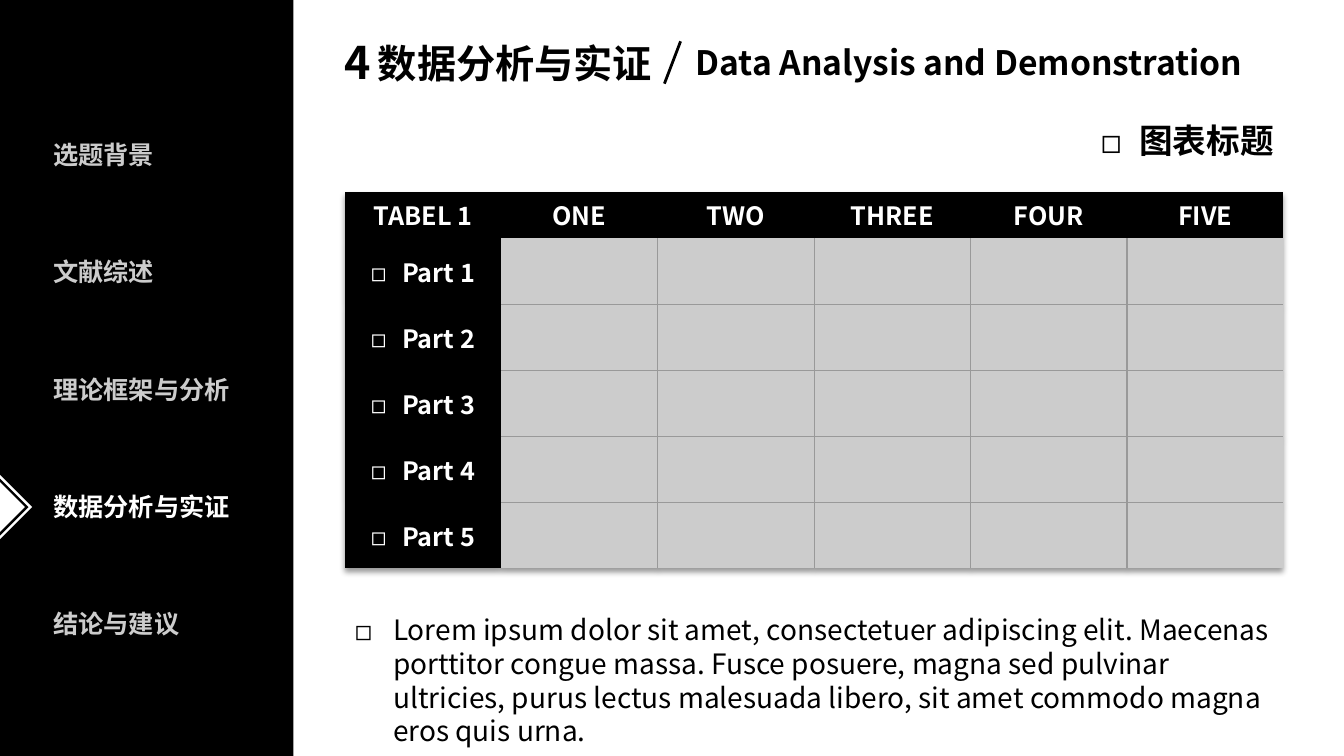
from lxml.etree import SubElement, fromstring
from pptx import Presentation
from pptx.dml.color import RGBColor
from pptx.enum.shapes import MSO_CONNECTOR, MSO_SHAPE
from pptx.enum.text import MSO_ANCHOR, PP_ALIGN
from pptx.oxml.ns import qn
from pptx.util import Inches, Pt

BLACK = RGBColor(0x00, 0x00, 0x00)
WHITE = RGBColor(0xFF, 0xFF, 0xFF)
PALE = RGBColor(0xCC, 0xCC, 0xCC)
GREY = RGBColor(0x99, 0x99, 0x99)
FONT = "Noto Sans CJK SC"
TOPICS = ["选题背景", "文献综述", "理论框架与分析", "数据分析与实证", "结论与建议"]
ACTIVE = 3
HEADS = ["TABEL 1", "ONE", "TWO", "THREE", "FOUR", "FIVE"]
PARTS = 5
BODY = (
    "Lorem ipsum dolor sit amet, consectetuer adipiscing elit. Maecenas "
    "porttitor congue massa. Fusce posuere, magna sed pulvinar ultricies, "
    "purus lectus malesuada libero, sit amet commodo magna eros quis urna."
)
SHADOW = (
    '<a:effectLst xmlns:a="http://schemas.openxmlformats.org/drawingml/2006/main">'
    '<a:outerShdw blurRad="50800" dist="38100" dir="5400000" algn="t" rotWithShape="0">'
    '<a:prstClr val="black"><a:alpha val="40000"/></a:prstClr>'
    "</a:outerShdw></a:effectLst>"
)


def write(para, text, size, color, bold=True, align=None, indent=None):
    para.text = text
    para.alignment = align
    props = para._p.get_or_add_pPr()
    if indent:
        props.set("marL", str(Inches(indent)))
        props.set("indent", str(-Inches(indent)))
        SubElement(props, qn("a:buFont"), typeface=FONT)
        SubElement(props, qn("a:buChar"), char="◻")
    font = para.font
    font.name = FONT
    font.size = Pt(size)
    font.bold = bold
    font.color.rgb = color
    SubElement(props.find(qn("a:defRPr")), qn("a:ea"), typeface=FONT)


def add_text(slide, box, text, size, color=BLACK, wrap=True, **style):
    frame = slide.shapes.add_textbox(*map(Inches, box)).text_frame
    frame.word_wrap = wrap
    write(frame.paragraphs[0], text, size, color, **style)


def add_fill(slide, kind, box, color):
    shape = slide.shapes.add_shape(kind, *map(Inches, box))
    shape.shadow.inherit = False
    shape.fill.solid()
    shape.fill.fore_color.rgb = color
    shape.line.fill.background()
    return shape


def add_mark(slide, mid):
    for side, color in [(0.45, WHITE), (0.4, BLACK), (0.35, WHITE)]:
        box = (-side / 2, mid - side / 2, side, side)
        add_fill(slide, MSO_SHAPE.RIGHT_TRIANGLE, box, color).rotation = 225


def add_slash(slide):
    ends = map(Inches, (6.75, 0.41, 6.59, 0.83))
    line = slide.shapes.add_connector(MSO_CONNECTOR.STRAIGHT, *ends)
    line.line.color.rgb = BLACK
    line.line.width = Pt(2)
    SubElement(line._element.spPr, qn("a:effectLst"))


def set_cell(cell, color):
    cell.vertical_anchor = MSO_ANCHOR.MIDDLE
    cell.fill.solid()
    cell.fill.fore_color.rgb = color


def add_edges(cell, sides):
    props = cell._tc.get_or_add_tcPr()
    for spot, side in enumerate(sides):
        edge = props.makeelement(qn("a:ln" + side), {"w": str(Pt(1))})
        fill = SubElement(edge, qn("a:solidFill"))
        SubElement(fill, qn("a:srgbClr"), val=str(GREY))
        props.insert(spot, edge)


def add_grid(slide):
    cols = len(HEADS)
    box = map(Inches, (3.42, 1.9, 9.31, 3.74))
    table = slide.shapes.add_table(PARTS + 1, cols, *box).table
    table.horz_banding = False
    tbl = table._tbl
    tbl.tblPr.insert(0, fromstring(SHADOW))
    tbl.tblPr.find(qn("a:tableStyleId")).text = "{2D5ABB26-0587-4C30-8999-92F81FD0307C}"
    for col in table.columns:
        col.width = Inches(9.31 / cols)
    for row in table.rows:
        row.height = Inches(0.655)
    table.rows[0].height = Inches(0.465)
    for col, head in enumerate(HEADS):
        cell = table.cell(0, col)
        set_cell(cell, BLACK)
        write(cell.text_frame.paragraphs[0], head, 18, WHITE, align=PP_ALIGN.CENTER)
    for row in range(1, PARTS + 1):
        cell = table.cell(row, 0)
        set_cell(cell, BLACK)
        write(cell.text_frame.paragraphs[0], f"Part {row}", 18, WHITE,
              align=PP_ALIGN.CENTER, indent=0.31)
        for col in range(1, cols):
            cell = table.cell(row, col)
            set_cell(cell, PALE)
            rules = {"L": col > 1, "R": col < cols - 1, "T": row > 1, "B": row < PARTS}
            add_edges(cell, [side for side, shown in rules.items() if shown])


def main():
    deck = Presentation()
    deck.slide_width = Inches(13.33)
    deck.slide_height = Inches(7.5)
    slide = deck.slides.add_slide(deck.slide_layouts[6])
    add_fill(slide, MSO_SHAPE.RECTANGLE, (0, 0, 2.91, 7.5), BLACK)
    for spot, topic in enumerate(TOPICS):
        color = WHITE if spot == ACTIVE else PALE
        box = (0.43, 1.33 + 1.165 * spot, 1.98, 0.4)
        add_text(slide, box, topic, 18, color, align=PP_ALIGN.JUSTIFY)
    add_mark(slide, 5.03)
    add_text(slide, (3.32, 0.3, 0.43, 0.64), "4", 32, wrap=False)
    add_text(slide, (3.65, 0.34, 3.15, 0.57), TOPICS[ACTIVE], 28)
    add_text(slide, (6.8, 0.37, 5.93, 0.5), "Data Analysis and Demonstration", 24)
    add_slash(slide)
    add_grid(slide)
    add_text(slide, (3.42, 6.03, 9.31, 1.11), BODY, 20, bold=False, indent=0.38)
    add_text(slide, (3.42, 1.14, 9.31, 0.5), "图表标题", 24,
             align=PP_ALIGN.RIGHT, indent=0.38)
    deck.save("out.pptx")


if __name__ == "__main__":
    main()
